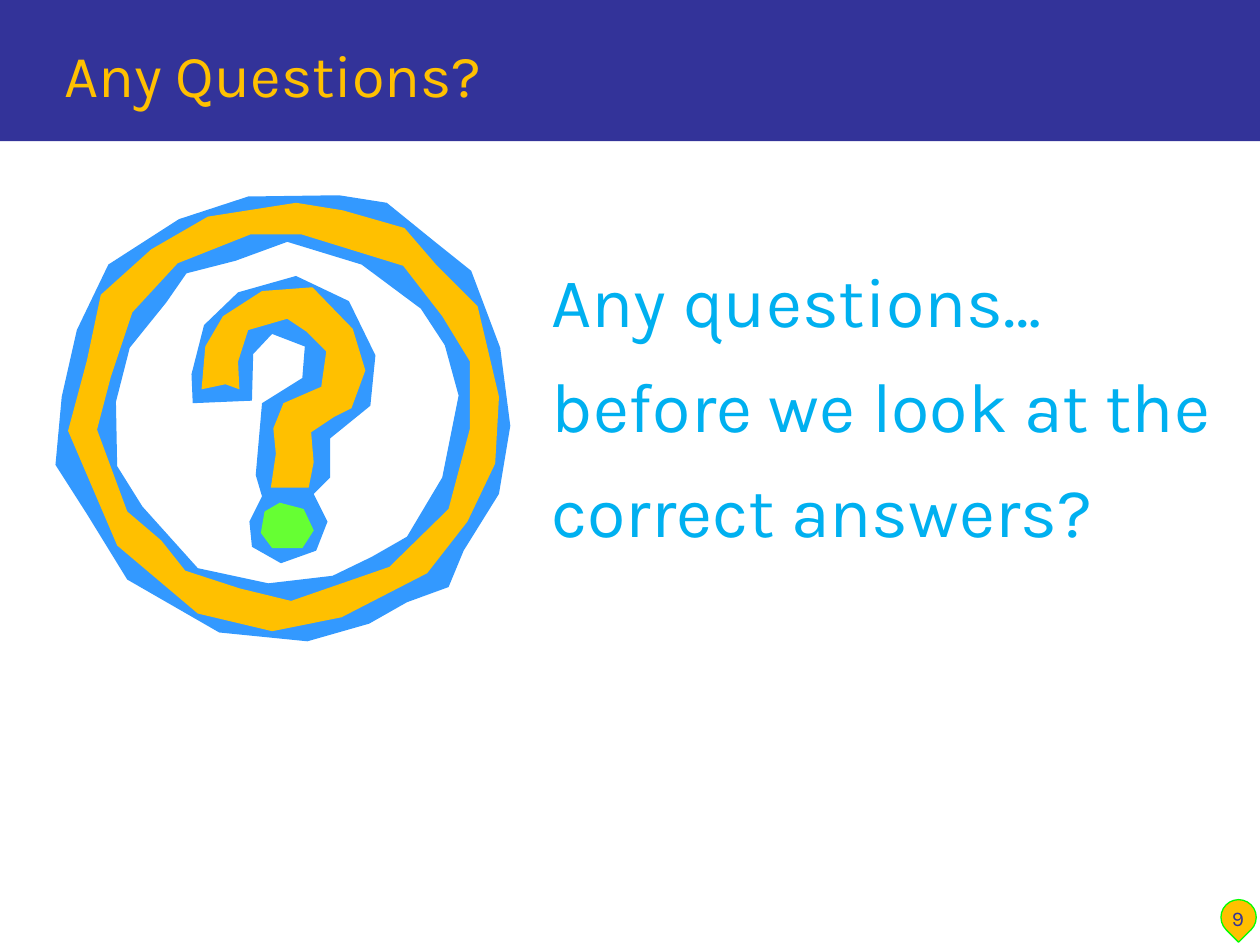
"""Builds the question slide on a grid of 1000 columns by 750 rows."""
from dataclasses import dataclass

from pptx import Presentation
from pptx.dml.color import RGBColor
from pptx.enum.shapes import MSO_SHAPE
from pptx.enum.text import MSO_ANCHOR, MSO_AUTO_SIZE, PP_ALIGN
from pptx.util import Pt

RECT, DROP = MSO_SHAPE.RECTANGLE, MSO_SHAPE.TEAR
LEFT, MID = PP_ALIGN.LEFT, PP_ALIGN.CENTER
LOW = MSO_ANCHOR.BOTTOM
FIXED = MSO_AUTO_SIZE.NONE
COLS, ROWS, UNIT = 1000, 750, 9144
TITLE_ONLY = 5


@dataclass(frozen=True)
class Theme:
    font: str = "Karla"
    navy: str = "333399"
    gold: str = "FFC000"
    blue: str = "3399FF"
    sky: str = "00B0F0"
    green: str = "66FF33"
    lime: str = "00FF00"
    small: int = 12
    head: int = 34
    large: int = 40
    gap: int = 12


class Deck:
    def __init__(self, theme):
        self.theme = theme
        self.prs = Presentation()
        self.prs.slide_width, self.prs.slide_height = COLS * UNIT, ROWS * UNIT
        self.slide = self.prs.slides.add_slide(self.prs.slide_layouts[TITLE_ONLY])
        self.shapes = self.slide.shapes

    def paint(self, shape, fill, line=None):
        shape.shadow.inherit = False
        shape.fill.solid()
        shape.fill.fore_color.rgb = RGBColor.from_string(fill)
        if line:
            shape.line.color.rgb = RGBColor.from_string(line)
            shape.line.width = Pt(0.75)
        else:
            shape.line.fill.background()

    def block(self, kind, box, fill, line=None, turn=0):
        shape = self.shapes.add_shape(kind, *(n * UNIT for n in box))
        shape.rotation = turn
        self.paint(shape, fill, line)

    def letter(self, shape, lines, size, color, align=LEFT, gap=0):
        frame = shape.text_frame
        frame.word_wrap = True
        frame.auto_size = FIXED
        frame.vertical_anchor = LOW
        for i, line in enumerate(lines):
            para = frame.add_paragraph() if i else frame.paragraphs[0]
            para.alignment = align
            para.space_before = Pt(gap)
            run = para.add_run()
            run.text = line
            run.font.name = self.theme.font
            run.font.size = Pt(size)
            run.font.color.rgb = RGBColor.from_string(color)

    def title(self, box, text):
        shape = self.shapes.title
        shape.left, shape.top, shape.width, shape.height = (n * UNIT for n in box)
        self.letter(shape, [text], self.theme.head, self.theme.gold)
        self.shapes._spTree.append(shape._element)

    def text(self, box, lines, size, color, align=LEFT, gap=0):
        shape = self.shapes.add_textbox(*(n * UNIT for n in box))
        self.letter(shape, lines, size, color, align, gap)

    def icon(self, parts):
        group = self.shapes.add_group_shape()
        for fill, points in parts:
            pen = group.shapes.build_freeform(*points[0], scale=UNIT)
            pen.add_line_segments(points[1:], close=True)
            self.paint(pen.convert_to_shape(), fill)


HOOK_EDGE = [
    (201, 281), (216, 265), (242, 275), (240, 300), (208, 320), (203, 377),
    (208, 394), (198, 414), (200, 434), (223, 447), (251, 437), (260, 414),
    (249, 392), (262, 379), (262, 348), (294, 322), (298, 282), (277, 239),
    (235, 219), (189, 232), (162, 258), (152, 297), (153, 320), (200, 318)]
HOOK = [
    (160, 309), (179, 305), (190, 309), (189, 287), (197, 262), (228, 253),
    (243, 263), (259, 279), (255, 307), (225, 320), (217, 340), (219, 360),
    (215, 387), (245, 387), (249, 367), (247, 343), (265, 331), (279, 324),
    (290, 294), (280, 261), (248, 228), (208, 231), (177, 251), (163, 275)]
DOT = [
    (222, 399), (210, 406), (207, 423), (216, 435), (240, 435), (249, 421),
    (241, 404)]
RING_EDGE = [
    (269, 155), (197, 156), (142, 174), (86, 210), (61, 262), (49, 315),
    (44, 369), (69, 408), (101, 460), (174, 502), (244, 509), (293, 495),
    (323, 478), (356, 466), (368, 437), (396, 392), (405, 338), (397, 276),
    (374, 215), (344, 191), (307, 161), (287, 210), (334, 245), (353, 274),
    (364, 314), (351, 379), (323, 426), (295, 442), (264, 457), (213, 463),
    (157, 451), (113, 402), (93, 370), (92, 319), (103, 276), (132, 240),
    (148, 217), (187, 207), (228, 192), (287, 210), (307, 161)]
RING = [
    (239, 186), (199, 186), (141, 209), (105, 248), (88, 299), (77, 341),
    (101, 406), (128, 429), (147, 453), (190, 467), (231, 477), (309, 450),
    (356, 404), (373, 340), (373, 287), (351, 251), (320, 211), (239, 186),
    (235, 161), (272, 167), (321, 181), (346, 210), (379, 243), (396, 315),
    (393, 368), (371, 414), (339, 455), (271, 490), (216, 501), (157, 487),
    (93, 433), (54, 342), (69, 286), (80, 234), (120, 198), (165, 172),
    (235, 161)]

look = Theme()
deck = Deck(look)
deck.block(RECT, (0, 0, COLS, 112), look.navy)
deck.block(DROP, (969, 714, 28, 28), look.gold, look.lime, turn=135)
deck.text((954, 694, 57, 50), ["9"], look.small, look.navy, MID)
deck.title((41, 16, 935, 76), "Any Questions?")
deck.icon([(look.blue, HOOK_EDGE), (look.gold, HOOK), (look.green, DOT),
           (look.blue, RING_EDGE), (look.gold, RING)])
deck.text((428, 367, 574, 76),
          ["Any questions…", "before we look at the", "correct answers?"],
          look.large, look.sky, gap=look.gap)
deck.prs.save("out.pptx")
